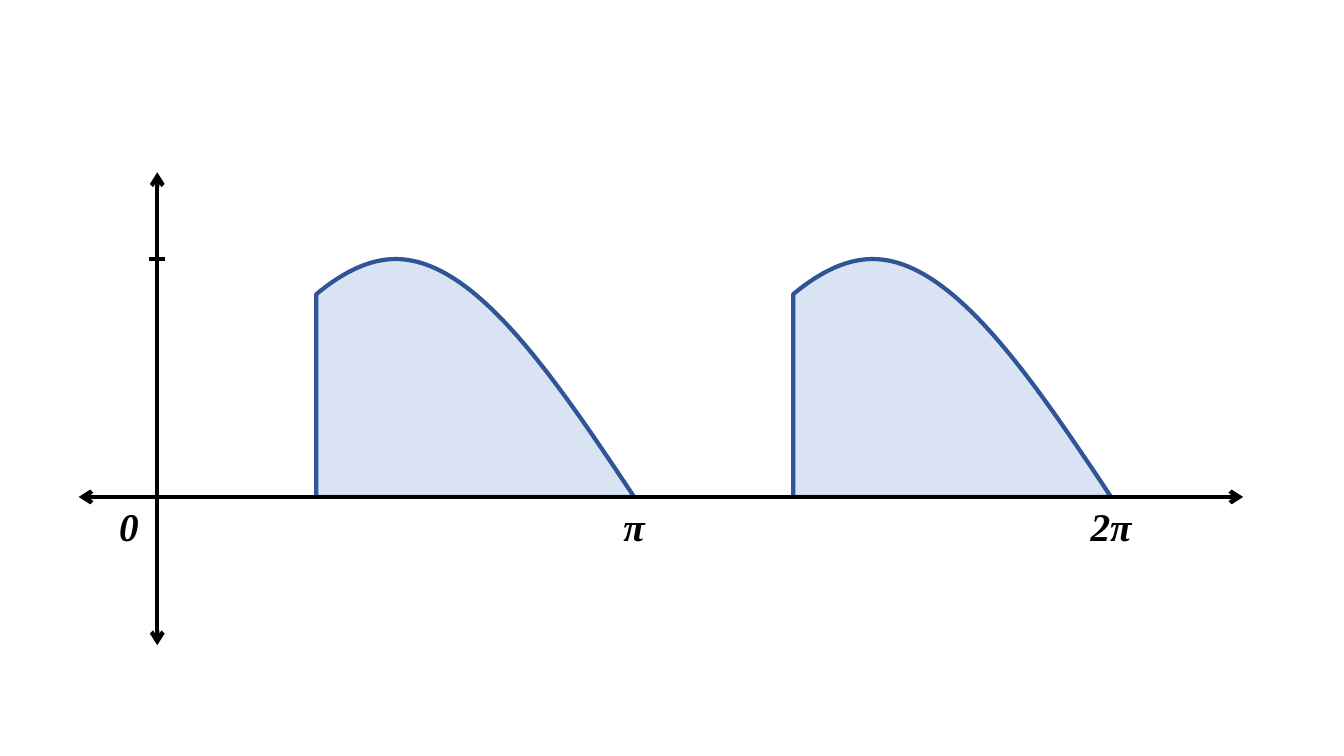
from pptx import Presentation
from pptx import util as u
from pptx.dml.color import RGBColor
from pptx.enum import shapes, text
from pptx.oxml.ns import qn
from lxml import etree

BLACK = RGBColor(0x00, 0x00, 0x00)
PALE_BLUE = RGBColor(0xDA, 0xE3, 0xF3)
DARK_BLUE = RGBColor(0x2F, 0x55, 0x97)

ORIGIN_X = 1.56
BASELINE = 4.93
PEAK_Y = 2.57
HALF_PERIOD = 4.73


class WaveSlide:
    font_name = "Times New Roman"
    font_size = u.Pt(28)
    line_width = u.Pt(3)

    def __init__(self, slide):
        self.slide = slide

    def line(self, start, end, arrows=False):
        connector = self.slide.shapes.add_connector(
            shapes.MSO_CONNECTOR.STRAIGHT, *map(u.Inches, start + end))
        connector.line.color.rgb = BLACK
        connector.line.width = self.line_width
        properties = connector._element.spPr
        if arrows:
            outline = properties.find(qn("a:ln"))
            for tag in ("a:headEnd", "a:tailEnd"):
                etree.SubElement(outline, qn(tag), type="arrow")
        etree.SubElement(properties, qn("a:effectLst"))

    def pulse(self, end_x, steps=60):
        quarter = HALF_PERIOD / 2
        peak_x = end_x - quarter
        left = end_x - HALF_PERIOD * 2 / 3
        points = []
        for step in range(steps + 1):
            x = left + (end_x - left) * step / steps
            t = abs(x - peak_x) / quarter
            drop = (3 * t ** 2 - t ** 3) / 2
            points.append((u.Inches(x), u.Inches(PEAK_Y + (BASELINE - PEAK_Y) * drop)))
        builder = self.slide.shapes.build_freeform(u.Inches(left), u.Inches(BASELINE))
        builder.add_line_segments(points, close=True)
        shape = builder.convert_to_shape()
        shape.shadow.inherit = False
        shape.fill.solid()
        shape.fill.fore_color.rgb = PALE_BLUE
        shape.line.color.rgb = DARK_BLUE
        shape.line.width = self.line_width

    def label(self, wording, center_x):
        box = self.slide.shapes.add_textbox(
            u.Inches(center_x - 0.5), u.Inches(BASELINE), u.Inches(1), u.Inches(0.57))
        frame = box.text_frame
        frame.word_wrap = True
        frame.auto_size = text.MSO_AUTO_SIZE.SHAPE_TO_FIT_TEXT
        frame.text = wording
        paragraph = frame.paragraphs[0]
        paragraph.alignment = text.PP_ALIGN.CENTER
        font = paragraph.runs[0].font
        font.name = self.font_name
        font.size = self.font_size
        font.bold = font.italic = True
        font.color.rgb = BLACK


def main():
    presentation = Presentation()
    presentation.slide_width = u.Inches(13.33)
    presentation.slide_height = u.Inches(7.5)
    wave = WaveSlide(presentation.slides.add_slide(presentation.slide_layouts[6]))

    wave.line((ORIGIN_X, 6.4), (ORIGIN_X, 1.71), arrows=True)
    pulse_ends = [ORIGIN_X + HALF_PERIOD * count for count in (1, 2)]
    for end_x in pulse_ends:
        wave.pulse(end_x)
    wave.line((12.33, BASELINE), (0.78, BASELINE), arrows=True)
    for wording, center_x in zip(("0", "π", "2π"), [ORIGIN_X - 0.28] + pulse_ends):
        wave.label(wording, center_x)
    wave.line((ORIGIN_X - 0.08, PEAK_Y), (ORIGIN_X + 0.08, PEAK_Y))

    presentation.save("out.pptx")


if __name__ == "__main__":
    main()
